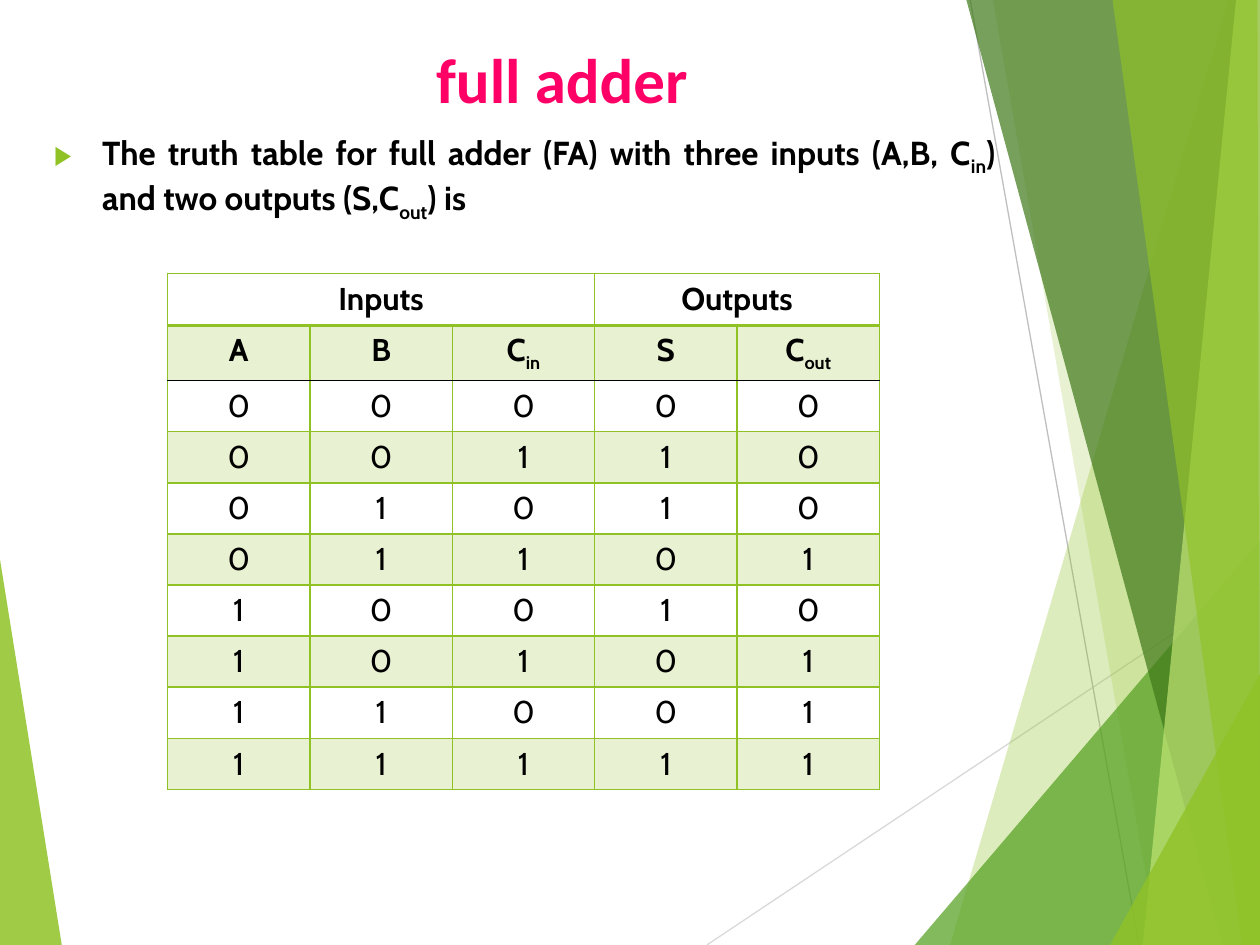
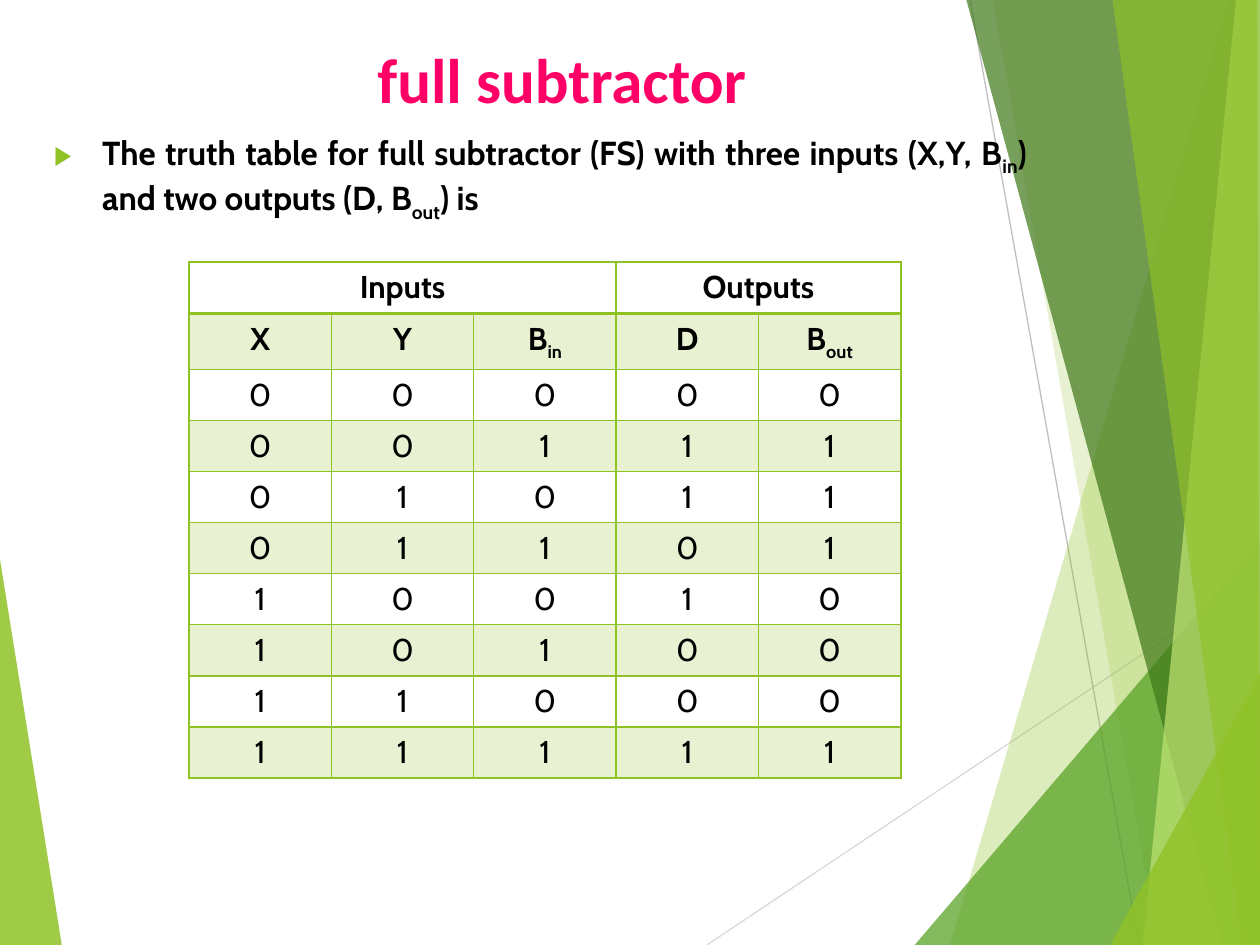
from dataclasses import dataclass
from itertools import product
from typing import Any, Callable, NamedTuple

from lxml.etree import SubElement
from pptx import Presentation
from pptx.dml.color import RGBColor
from pptx.enum.shapes import MSO_CONNECTOR
from pptx.enum.text import MSO_ANCHOR, MSO_AUTO_SIZE, PP_ALIGN
from pptx.oxml.ns import qn
from pptx.util import Inches, Pt


@dataclass(frozen=True)
class Theme:
    lime: str = "90C226"
    leaf: str = "54A021"
    forest: str = "3F7819"
    pale: str = "C0E474"
    pink: str = "FF0066"
    black: str = "000000"
    light_gray: str = "D9D9D9"
    gray: str = "BFBFBF"
    title_font: str = "Calibri"
    text_font: str = "Cabin"
    title_size: int = 36
    body_size: int = 19
    table_size: int = 18
    subscript: int = -25
    band_opacity: int = 20


THEME = Theme()


class Facet(NamedTuple):
    """A translucent polygon of the backdrop; points in inches."""
    color: str
    opacity: int
    points: list[tuple[float, float]]


class Ray(NamedTuple):
    """A thin backdrop line; ends in inches."""
    color: str
    start: tuple[float, float]
    end: tuple[float, float]


class Box(NamedTuple):
    left: float
    top: float
    width: float
    height: float


@dataclass(frozen=True)
class Circuit:
    """One slide. Text between bars is set as subscript."""
    title: str
    sentence: str
    body_width: float
    table_left: float
    table_top: float
    symbols: list[str]
    outputs: Callable[[int, int, int], tuple[int, int]]
    symbol_rule: str


BACKDROP = [
    Facet(THEME.lime, 85, [(0, 4.44), (0.49, 7.5), (0, 7.5)]),
    Ray(THEME.light_gray, (5.61, 7.5), (10, 4.57)),
    Ray(THEME.gray, (7.7, 0), (9.04, 7.5)),
    Facet(THEME.lime, 30, [(9.75, 0), (7.54, 7.5), (10, 7.5), (10, 0)]),
    Facet(THEME.lime, 20, [(7.88, 0), (9.19, 7.5), (10, 7.5), (10, 0)]),
    Facet(THEME.leaf, 72, [(7.26, 7.5), (10, 4.29), (10, 7.5)]),
    Facet(THEME.forest, 70, [(7.67, 0), (9.7, 7.5), (10, 7.5), (10, 0)]),
    Facet(THEME.pale, 70, [(9.81, 0), (9.07, 7.5), (10, 7.5), (10, 0)]),
    Facet(THEME.lime, 65, [(8.83, 0), (9.86, 7.5), (10, 7.5), (9.98, 0)]),
    Facet(THEME.lime, 80, [(8.81, 7.5), (10, 5.35), (10, 7.5)]),
]

TITLE_BOX = Box(1.25, 0.25, 6.42, 0.75)
GROUPS = [("Inputs", 0, 2), ("Outputs", 3, 4)]
COLUMN_WIDTH = 1.13
HEADER_HEIGHT = 0.41
DATA_HEIGHT = 0.4


def add_bits(a: int, b: int, carry: int) -> tuple[int, int]:
    total = a + b + carry
    return total % 2, total // 2


def subtract_bits(x: int, y: int, borrow: int) -> tuple[int, int]:
    return (x - y - borrow) % 2, int(x < y + borrow)


CIRCUITS = [
    Circuit("full adder",
            "The truth table for full adder (FA) with three inputs (A,B, C|in|) "
            "and two outputs (S,C|out|) is",
            7.67, 1.33, 2.17, ["A", "B", "C|in|", "S", "C|out|"], add_bits, THEME.black),
    Circuit("full subtractor",
            "The truth table for full subtractor (FS) with three inputs (X,Y, B|in|) "
            "and two outputs (D, B|out|) is",
            7.92, 1.5, 2.08, ["X", "Y", "B|in|", "D", "B|out|"], subtract_bits, THEME.lime),
]


def apply(target: Any, values: dict[str, Any]) -> None:
    for name, value in values.items():
        setattr(target, name, value)


def fill_solid(fill: Any, color: str, opacity: int) -> None:
    fill.solid()
    fill.fore_color.rgb = RGBColor.from_string(color)
    tint = fill._xPr.find(".//" + qn("a:srgbClr"))
    SubElement(tint, qn("a:alpha"), val=str(opacity * 1000))


def write(para: Any, text: str, size: int, font: str, color: str, bold: bool,
          align: PP_ALIGN = PP_ALIGN.CENTER) -> None:
    para.alignment = align
    for index, part in enumerate(text.split("|")):
        if not part:
            continue
        span = para.add_run()
        span.text = part
        apply(span.font, {"size": Pt(size), "name": font, "bold": bold})
        span.font.color.rgb = RGBColor.from_string(color)
        if index % 2:
            span.font._rPr.set("baseline", str(THEME.subscript * 1000))


def draw_facet(page: Any, facet: Facet) -> Any:
    first, *rest = [(Inches(x), Inches(y)) for x, y in facet.points]
    builder = page.shapes.build_freeform(*first)
    builder.add_line_segments(rest, close=True)
    shape = builder.convert_to_shape()
    shape.shadow.inherit = False
    fill_solid(shape.fill, facet.color, facet.opacity)
    shape.line.fill.background()
    return shape


def draw_ray(page: Any, ray: Ray) -> Any:
    ends = [Inches(value) for value in (*ray.start, *ray.end)]
    line = page.shapes.add_connector(MSO_CONNECTOR.STRAIGHT, *ends)
    line.line.color.rgb = RGBColor.from_string(ray.color)
    line.line.width = Pt(0.75)
    SubElement(line.element.spPr, qn("a:effectLst"))
    return line


def move_backdrop_to_layout(page: Any) -> None:
    """Draw the backdrop on a page, then hand it to the layout all pages share."""
    tree = page.slide_layout.shapes.element
    for index, item in enumerate(BACKDROP):
        shape = draw_facet(page, item) if isinstance(item, Facet) else draw_ray(page, item)
        shape.element.xpath(".//p:cNvPr")[0].set("id", str(100 + index))
        tree.insert(2 + index, shape.element)


def place(shape: Any, box: Box, anchor: MSO_ANCHOR) -> Any:
    """Position a placeholder and return its first paragraph."""
    apply(shape, {name: Inches(value) for name, value in box._asdict().items()})
    apply(shape.text_frame, {"word_wrap": True, "auto_size": MSO_AUTO_SIZE.NONE,
                             "vertical_anchor": anchor})
    return shape.text_frame.paragraphs[0]


def add_bullet(para: Any) -> None:
    para.space_before = Pt(10)
    properties = para._p.get_or_add_pPr()
    properties.set("marL", str(Inches(0.38)))
    properties.set("indent", str(-Inches(0.38)))
    color = SubElement(properties, qn("a:buClr"))
    SubElement(color, qn("a:srgbClr"), val=THEME.lime)
    SubElement(properties, qn("a:buSzPct"), val="80000")
    SubElement(properties, qn("a:buChar"), char="▶")


def set_borders(cell: Any, top: tuple[str, int], bottom: tuple[str, int]) -> None:
    properties = cell._tc.get_or_add_tcPr()
    side = (THEME.lime, 1)
    edges = {"a:lnL": side, "a:lnR": side, "a:lnT": top, "a:lnB": bottom}
    for index, (tag, (color, width)) in enumerate(edges.items()):
        line = SubElement(properties, qn(tag), w=str(Pt(width)))
        solid = SubElement(line, qn("a:solidFill"))
        SubElement(solid, qn("a:srgbClr"), val=color)
        properties.insert(index, line)


def draw_truth_table(page: Any, circuit: Circuit) -> None:
    bits = [(*inputs, *circuit.outputs(*inputs)) for inputs in product((0, 1), repeat=3)]
    rows = [[""] * len(circuit.symbols), circuit.symbols]
    rows += [[str(bit) for bit in row] for row in bits]
    heights = [HEADER_HEIGHT] * 2 + [DATA_HEIGHT] * len(bits)
    table = page.shapes.add_table(
        len(rows), len(circuit.symbols), Inches(circuit.table_left), Inches(circuit.table_top),
        Inches(COLUMN_WIDTH * len(circuit.symbols)), Inches(sum(heights))).table
    apply(table, {"first_row": False, "horz_banding": False})
    for column in table.columns:
        column.width = Inches(COLUMN_WIDTH)
    for row, height in zip(table.rows, heights):
        row.height = Inches(height)

    rules = [(THEME.lime, 1)] * (len(rows) + 1)
    rules[1] = (THEME.lime, 2)
    rules[2] = (circuit.symbol_rule, 1)
    style = (THEME.table_size, THEME.text_font, THEME.black)
    for r, texts in enumerate(rows):
        for c, text in enumerate(texts):
            cell = table.cell(r, c)
            if r % 2:
                fill_solid(cell.fill, THEME.lime, THEME.band_opacity)
            else:
                cell.fill.background()
            set_borders(cell, rules[r], rules[r + 1])
            write(cell.text_frame.paragraphs[0], text, *style, bold=r < 2)
    for label, first, last in GROUPS:
        table.cell(0, first).merge(table.cell(0, last))
        write(table.cell(0, first).text_frame.paragraphs[0], label, *style, bold=True)


def fill_page(page: Any, circuit: Circuit) -> None:
    title, body = page.placeholders
    para = place(title, TITLE_BOX, MSO_ANCHOR.MIDDLE)
    write(para, circuit.title, THEME.title_size, THEME.title_font, THEME.pink, True)
    para = place(body, Box(0.33, 1, circuit.body_width, 6.5), MSO_ANCHOR.TOP)
    add_bullet(para)
    write(para, circuit.sentence, THEME.body_size, THEME.text_font, THEME.black, True,
          PP_ALIGN.JUSTIFY)
    draw_truth_table(page, circuit)


def main() -> None:
    deck = Presentation()
    apply(deck, {"slide_width": Inches(10), "slide_height": Inches(7.5)})
    layout = deck.slide_layouts[1]
    pages = [deck.slides.add_slide(layout) for _ in CIRCUITS]
    move_backdrop_to_layout(pages[0])
    for page, circuit in zip(pages, CIRCUITS):
        fill_page(page, circuit)
    deck.save("out.pptx")


if __name__ == "__main__":
    main()
